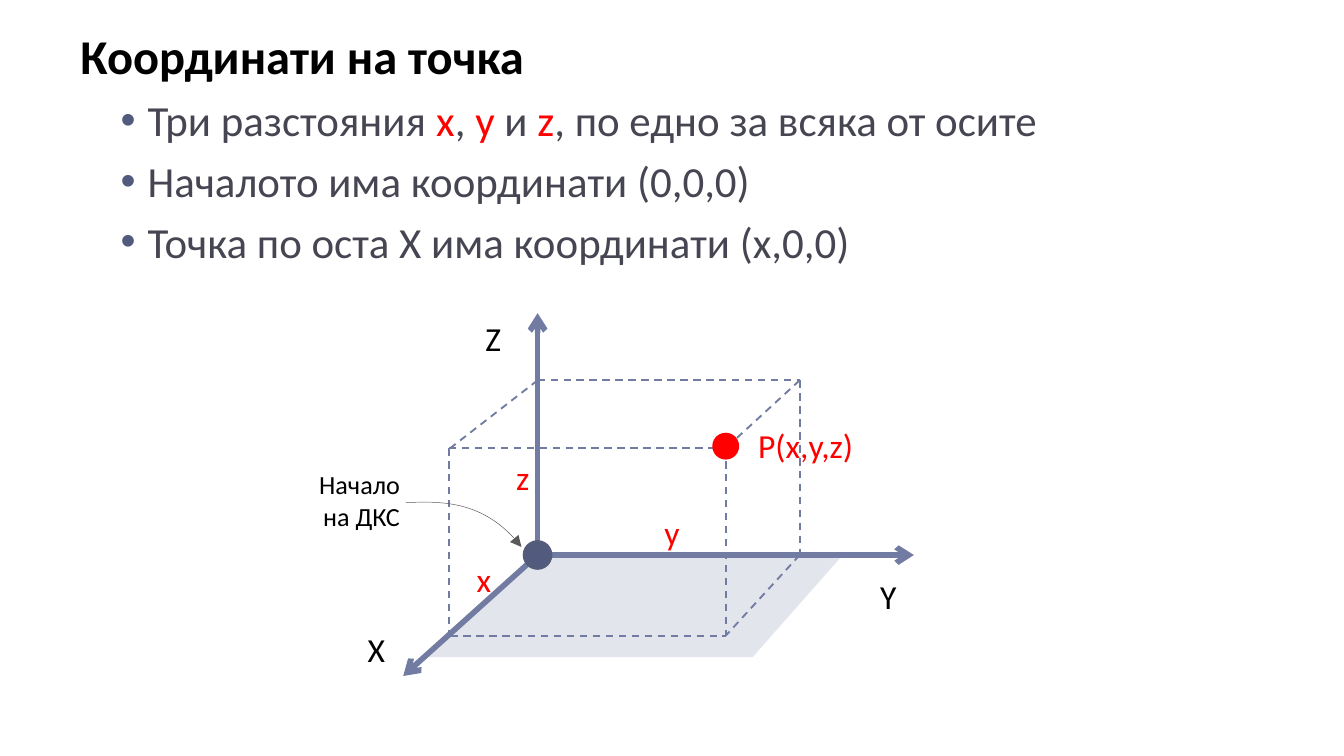
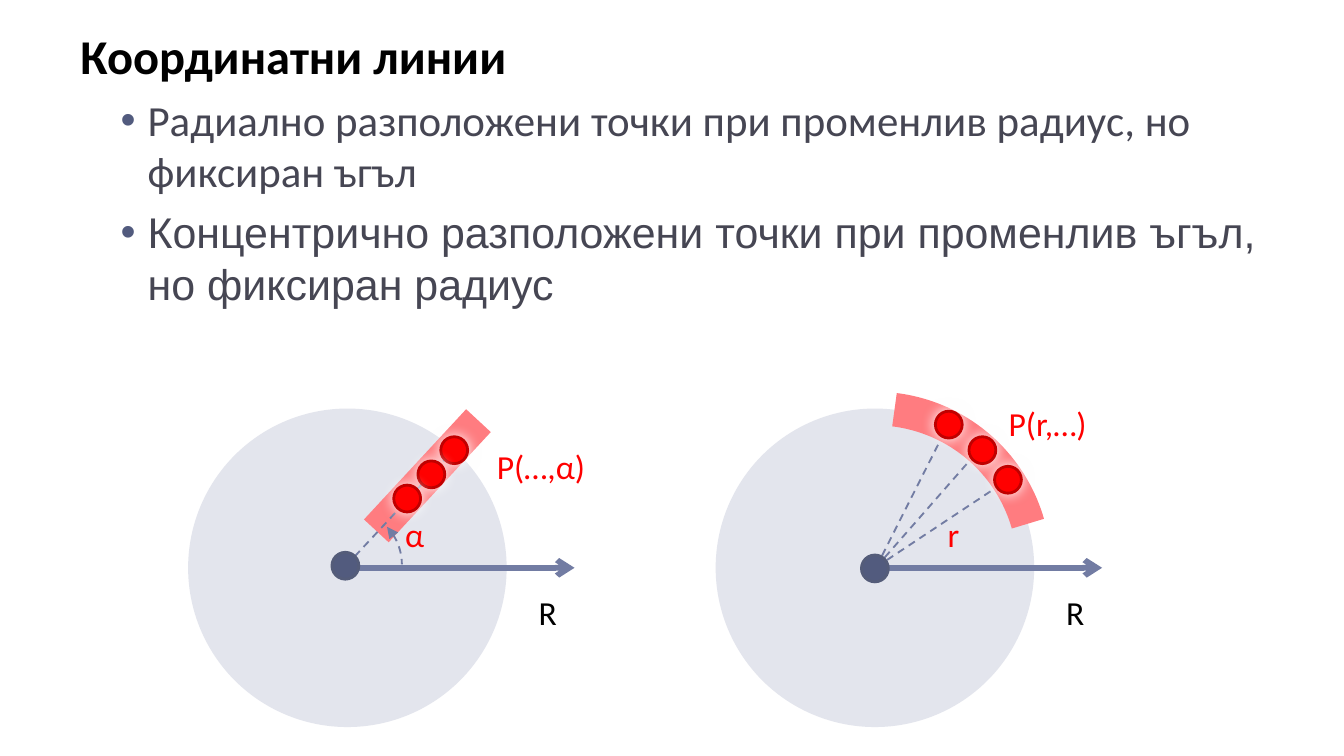
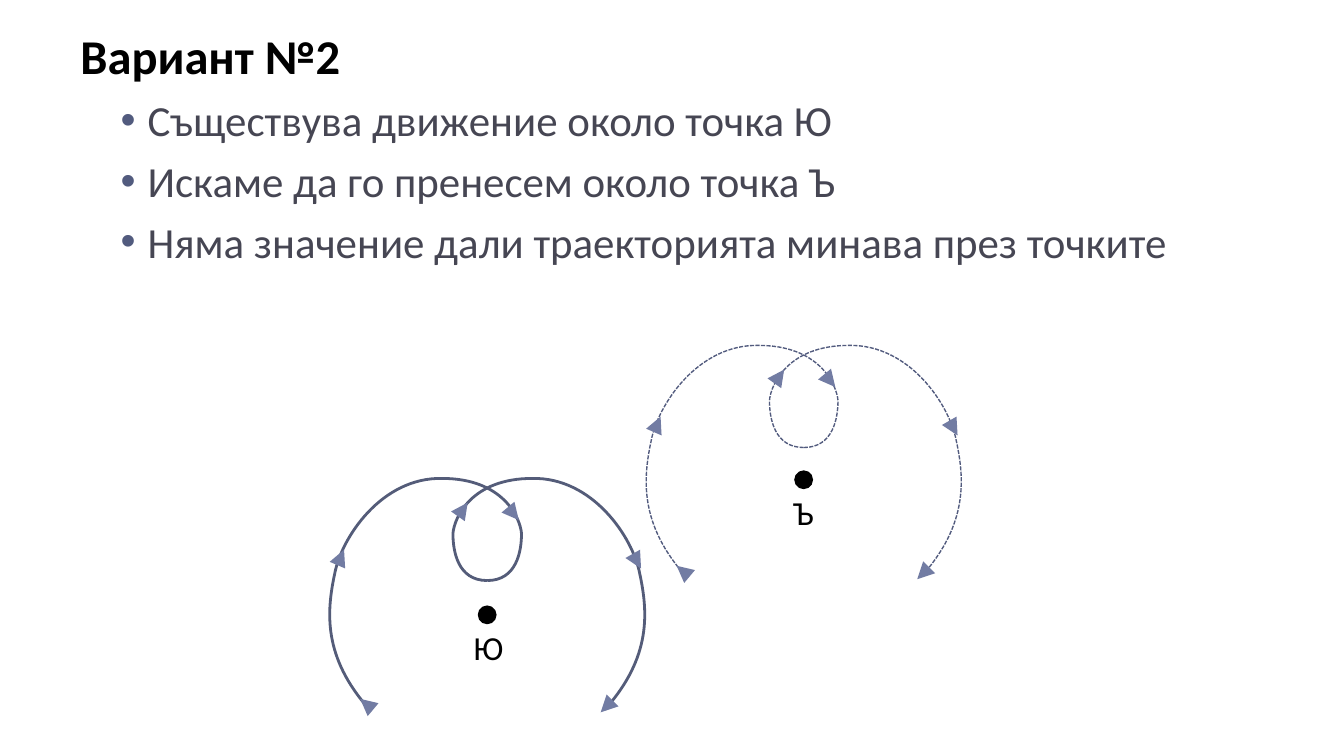
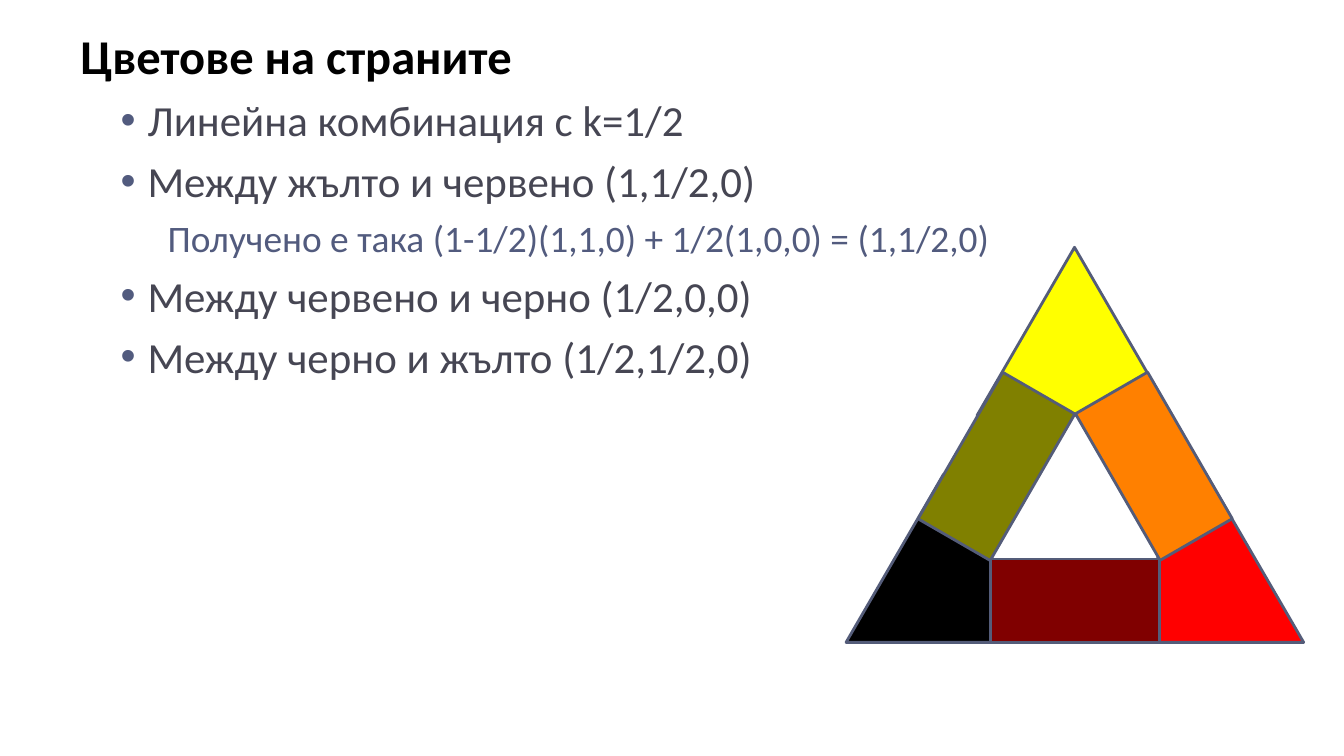
from lxml.etree import SubElement
from pptx import Presentation
from pptx.dml.color import RGBColor
from pptx.enum.dml import MSO_LINE
from pptx.enum.shapes import MSO_CONNECTOR, MSO_SHAPE
from pptx.enum.text import MSO_ANCHOR, MSO_AUTO_SIZE, PP_ALIGN
from pptx.oxml.ns import qn
from pptx.util import Inches, Pt


class Theme:
    black, red, white = "000000", "FF0000", "FFFFFF"
    text, navy, edge, axis = "464653", "525B7E", "545C79", "727CA3"
    pale, pink, ruby, gray = "E3E5ED", "FF7C80", "C00000", "595959"
    face, other = "Calibri", "Arial"
    head, body, note, label, small = 26, 23, 20, 18, 14
    thick, thin, band = 3, 1, 18


# Grid: 100 columns by 56.25 rows of square cells
deck = Presentation()
deck.slide_width, deck.slide_height = Inches(10), Inches(5.625)
cell = deck.slide_width / 100
DASH = MSO_LINE.DASH
OVAL = MSO_SHAPE.OVAL


def draw(page, kind, box, fill=None, edge=None, width=0, dash=None,
         head=None, tail=None, glow=None):
    """Add a preset shape, a "line", a "poly" or a Bezier "curve"."""
    if kind == "line":
        ends = [round(cell * n) for n in box]
        item = page.shapes.add_connector(MSO_CONNECTOR.STRAIGHT, *ends)
    elif kind in ("poly", "curve"):
        dots = [(round(cell * x), round(cell * y)) for x, y in box]
        stops = dots[::3] if kind == "curve" else dots
        pen = page.shapes.build_freeform(*stops[0])
        pen.add_line_segments(stops[1:], close=kind == "poly")
        item = pen.convert_to_shape()
        if kind == "curve":
            # Turn each straight piece into a cubic one
            for k, piece in enumerate(list(item._element.iter(qn("a:lnTo")))):
                piece.clear()
                piece.tag = qn("a:cubicBezTo")
                for x, y in dots[3 * k + 1:3 * k + 4]:
                    SubElement(piece, qn("a:pt"), x=str(x - item.left), y=str(y - item.top))
    else:
        item = page.shapes.add_shape(kind, *[round(cell * n) for n in box])
    if fill:
        item.fill.solid()
        item.fill.fore_color.rgb = RGBColor.from_string(fill)
    elif kind != "line":
        item.fill.background()
    if edge:
        item.line.color.rgb = RGBColor.from_string(edge)
        item.line.width = Pt(width)
        if dash:
            item.line.dash_style = dash
        stroke = item.line._get_or_add_ln()
        for tag, tip in (("a:headEnd", head), ("a:tailEnd", tail)):
            if tip:
                SubElement(stroke, qn(tag), type=tip)
    else:
        item.line.fill.background()
    # An empty effect list drops the default shadow
    effects = SubElement(item._element.spPr, qn("a:effectLst"))
    if glow:
        halo = SubElement(effects, qn("a:outerShdw"), blurRad=str(Pt(7)), dist="0", dir="0",
                          algn="ctr", rotWithShape="0")
        SubElement(halo, qn("a:srgbClr"), val=glow)
    return item


def label(page, text, box, color=Theme.black, size=Theme.label, align=PP_ALIGN.CENTER,
          wrap=True):
    tag = draw(page, MSO_SHAPE.CHEVRON, box)
    tag.adjustments[0] = 0
    frame = tag.text_frame
    frame.word_wrap = wrap
    frame.vertical_anchor = MSO_ANCHOR.MIDDLE
    line = frame.paragraphs[0]
    line.text, line.alignment = text, align
    line.font.name, line.font.size = Theme.face, Pt(size)
    line.font.color.rgb = RGBColor.from_string(color)


# Text styles: level, indent, hang, bullet, face, size, colour
styles = {
    "title": (0, 0, 0, False, Theme.face, Theme.head, Theme.black),
    "item": (1, 5, -2, True, Theme.face, Theme.body, Theme.text),
    "plain": (1, 5, -2, True, Theme.other, Theme.body, Theme.text),
    "note": (2, 6.5, 0, False, Theme.face, Theme.note, Theme.navy),
}

# Wording of each slide; text between bars is red
words = [
    [("title", "Координати на точка"),
     ("item", "Три разстояния |x|, |y| и |z|, по едно за всяка от осите"),
     ("item", "Началото има координати (0,0,0)"),
     ("item", "Точка по оста X има координати (x,0,0)")],
    [("title", "Координатни линии"),
     ("item", "Радиално разположени точки при променлив радиус, но фиксиран ъгъл"),
     ("plain", "Концентрично разположени точки при променлив ъгъл, но фиксиран радиус")],
    [("title", "Вариант №2"),
     ("item", "Съществува движение около точка Ю"),
     ("item", "Искаме да го пренесем около точка Ъ"),
     ("item", "Няма значение дали траекторията минава през точките")],
    [("title", "Цветове на страните"),
     ("item", "Линейна комбинация с k=1/2"),
     ("item", "Между жълто и червено (1,1/2,0)"),
     ("note", "Получено е така (1-1/2)(1,1,0) + 1/2(1,0,0) = (1,1/2,0)"),
     ("item", "Между червено и черно (1/2,0,0)"),
     ("item", "Между черно и жълто (1/2,1/2,0)")],
]

# Title and bullets on every slide
pages = []
for lines in words:
    page = deck.slides.add_slide(deck.slide_layouts[6])
    pages.append(page)
    frame = page.shapes.add_textbox(*[round(cell * n) for n in (5, 1.45, 93.3, 54.2)]).text_frame
    frame.auto_size = MSO_AUTO_SIZE.NONE
    frame.word_wrap = True
    for style, text in lines:
        level, indent, hang, bullet, face, size, color = styles[style]
        first = style == "title"
        line = frame.paragraphs[0] if first else frame.add_paragraph()
        line.level = level
        if not first:
            line.space_before = Pt(5)
        props = line._p.get_or_add_pPr()
        props.set("marL", str(round(cell * indent)))
        props.set("indent", str(round(cell * hang)))
        if bullet:
            tint = SubElement(props, qn("a:buClr"))
            SubElement(tint, qn("a:srgbClr"), val=Theme.navy)
            SubElement(props, qn("a:buFont"), typeface=Theme.other)
            SubElement(props, qn("a:buChar"), char="•")
        line.font.name, line.font.size, line.font.bold = face, Pt(size), first
        line.font.color.rgb = RGBColor.from_string(color)
        for k, part in enumerate(text.split("|")):
            run = line.add_run()
            run.text = part
            if k % 2:
                run.font.color.rgb = RGBColor.from_string(Theme.red)

space, polar, motion, mix = pages

# Slide 1: floor, axes and origin
draw(space, "poly", [(31.5, 48.9), (40.1, 41.3), (62.7, 41.3), (56, 48.9)], Theme.pale)
for tip in ((40, 23.3), (68, 41.3), (30, 50.3)):
    draw(space, "line", (40, 41.3, *tip), edge=Theme.axis, width=Theme.thick, tail="arrow")
draw(space, OVAL, (39, 40.3, 2, 2), Theme.navy, Theme.edge, 1.5)

# Slide 1: dashed edges of the box, then the point
near, far, left, right, back = 33.4, 40, 33.5, 54, 59.5
roof, top, floor, base = 28.3, 33.35, 41.3, 47.3
for ends in ((back, floor, right, base), (left, base, right, base), (right, top, right, base),
             (back, roof, right, top), (back, roof, back, floor), (near, top, near, base),
             (near, top, right, top), (far, roof, back, roof), (far, roof, left, top)):
    draw(space, "line", ends, edge=Theme.axis, width=Theme.thin, dash=DASH)
draw(space, OVAL, (53, 32.2, 2, 2), Theme.red)

# Slide 1: labels and the pointer to the origin
for text, x, y, color in (("X", 26, 46.3, Theme.black), ("Y", 64.1, 42.35, Theme.black),
                          ("Z", 34.7, 23.15, Theme.black), ("y", 48, 37.6, Theme.red),
                          ("x", 34, 41.1, Theme.red), ("z", 36.9, 33.5, Theme.red)):
    label(space, text, (x, y, 4, 4), color)
label(space, "P(x,y,z)", (56, 31.1, 7.9, 4), Theme.red, wrap=False)
label(space, "Начало на ДКС", (21.25, 35.2, 9.5, 4), size=Theme.small, align=PP_ALIGN.RIGHT)
draw(space, "curve", [(30.2, 37.4), (32.7, 37.3), (36.1, 37.2), (38.8, 40.7)],
     edge=Theme.gray, width=0.25, tail="triangle")

# Slide 2: two disks, each with its axis
disks = (14, 53.25)
for x in disks:
    draw(polar, OVAL, (x, 30.4, 23.7, 23.7), Theme.pale)
    draw(polar, "line", (x + 11.7, 42.25, x + 28.75, 42.25), edge=Theme.axis,
         width=Theme.thick, tail="arrow")
    label(polar, "R", (x + 24.75, 43.55, 4, 4))
for text, x, y, w in (("P(…,α)", 36.3, 32.7, 7.9), ("α", 26.9, 37.75, 7.9),
                      ("P(r,…)", 74, 29.5, 7.9), ("r", 69.1, 37.75, 3.7)):
    label(polar, text, (x, y, w, 4), Theme.red, wrap=False)

# Slide 2: dashed rays, red bands and the angle
for tip in ((73, 33.3), (75, 35.7), (70.5, 31.7)):
    draw(polar, "line", (65.2, 42.2, *tip), edge=Theme.axis, width=Theme.thin, dash=DASH)
sweep = draw(polar, MSO_SHAPE.ARC, (disks[1], 30.4, 23.7, 23.7), edge=Theme.pink,
             width=Theme.band)
draw(polar, "line", (28, 39.5, 35.6, 31.3), edge=Theme.pink, width=Theme.band)
draw(polar, "line", (26.4, 41.4, 33.1, 34.2), edge=Theme.axis, width=Theme.thin, dash=DASH)
angle = draw(polar, MSO_SHAPE.ARC, (21.7, 37.9, 8.2, 8.2), edge=Theme.axis,
             width=Theme.thin, dash=DASH, head="triangle")
for arc, start, stop in ((sweep, 277.08, 343.93), (angle, 317.02, 0)):
    arc.adjustments[0], arc.adjustments[1] = start * 0.6, stop * 0.6

# Slide 2: points and hubs
for x, y in ((72.1, 32.5), (74, 34.7), (69.6, 30.6), (32.8, 32.5), (31.1, 34.3), (29.3, 36.1)):
    draw(polar, OVAL, (x, y, 2, 2), Theme.red, Theme.ruby, 1.5, glow=Theme.white)
for x, y in ((24.7, 41.1), (64.1, 41.3)):
    draw(polar, OVAL, (x, y, 2, 2), Theme.navy, Theme.edge, 1.5)

# Slide 3: half a loop and its arrows, measured from the centre
loop = [(0, -2.4), (-2.2, -2.4), (-2.55, -4.6), (-2.55, -5.9), (-2.45, -7.1), (-1.15, -10),
        (3.35, -10), (7.85, -10.1), (10.85, -5.6), (11.35, -2.9), (11.95, -0.1),
        (12.25, 3.3), (8.75, 7.2)]
arrows = [(-8.85, 6.9, -9.45, 6.4), (-10.95, -4, -10.65, -4.7), (1.85, -7.5, 2.35, -6.9),
          (8.95, 6.9, 8.45, 7.4), (11.05, -4, 11.45, -3.3), (-1.95, -7.5, -1.45, -8.2)]
for text, x, y, drop, color, width, dash in (
        ("Ъ", 59.8, 35.7, 0, Theme.navy, 0.75, MSO_LINE.SQUARE_DOT),
        ("Ю", 36.25, 45.6, 0.15, Theme.edge, 1.5, None)):
    for side in (1, -1):
        draw(motion, "curve", [(x + side * dx, y + dy) for dx, dy in loop],
             edge=color, width=width, dash=dash)
    draw(motion, OVAL, (x - 0.7, y + drop - 0.7, 1.4, 1.4), Theme.black)
    for ax, ay, bx, by in arrows:
        draw(motion, "line", (x + ax, y + ay, x + bx, y + by), edge=Theme.axis,
             width=Theme.thick, tail="triangle")
    label(motion, text, (x - 2, y + drop + 0.4, 4, 4))

# Slide 4: coloured corners, then the mixed sides between them
for x, y, color in ((72.7, 18.4, "FFFF00"), (82.5, 35.3, Theme.red), (62.95, 35.3, Theme.black)):
    draw(mix, MSO_SHAPE.ISOSCELES_TRIANGLE, (x, y, 14.5, 12.5), color, Theme.edge, 1.5)
for x, y, turn, color in ((73.7, 41.6, 0, "800000"), (79.55, 31.6, 60, "FF8000"),
                          (67.85, 31.6, 300, "808000")):
    bar = draw(mix, MSO_SHAPE.RECTANGLE, (x, y, 12.6, 6.2), color, Theme.edge, 1.5)
    bar.rotation = turn

deck.save("out.pptx")
